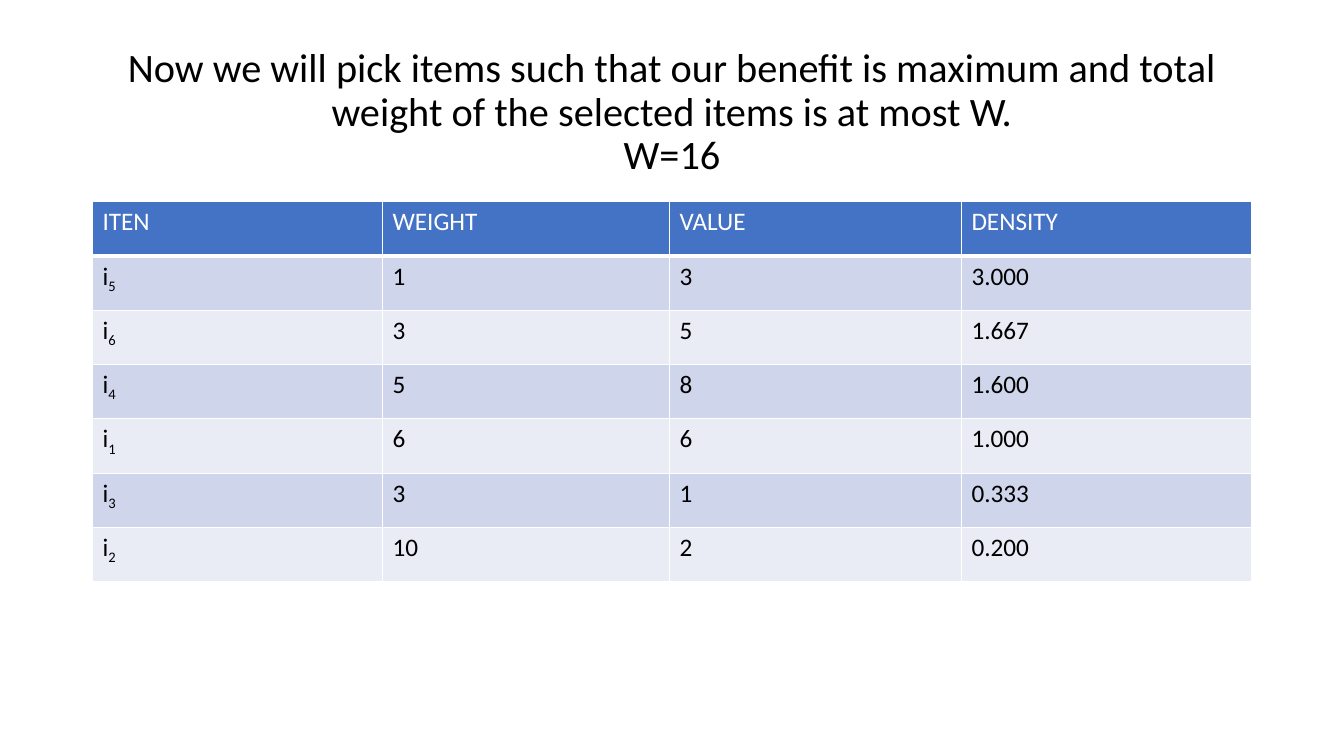
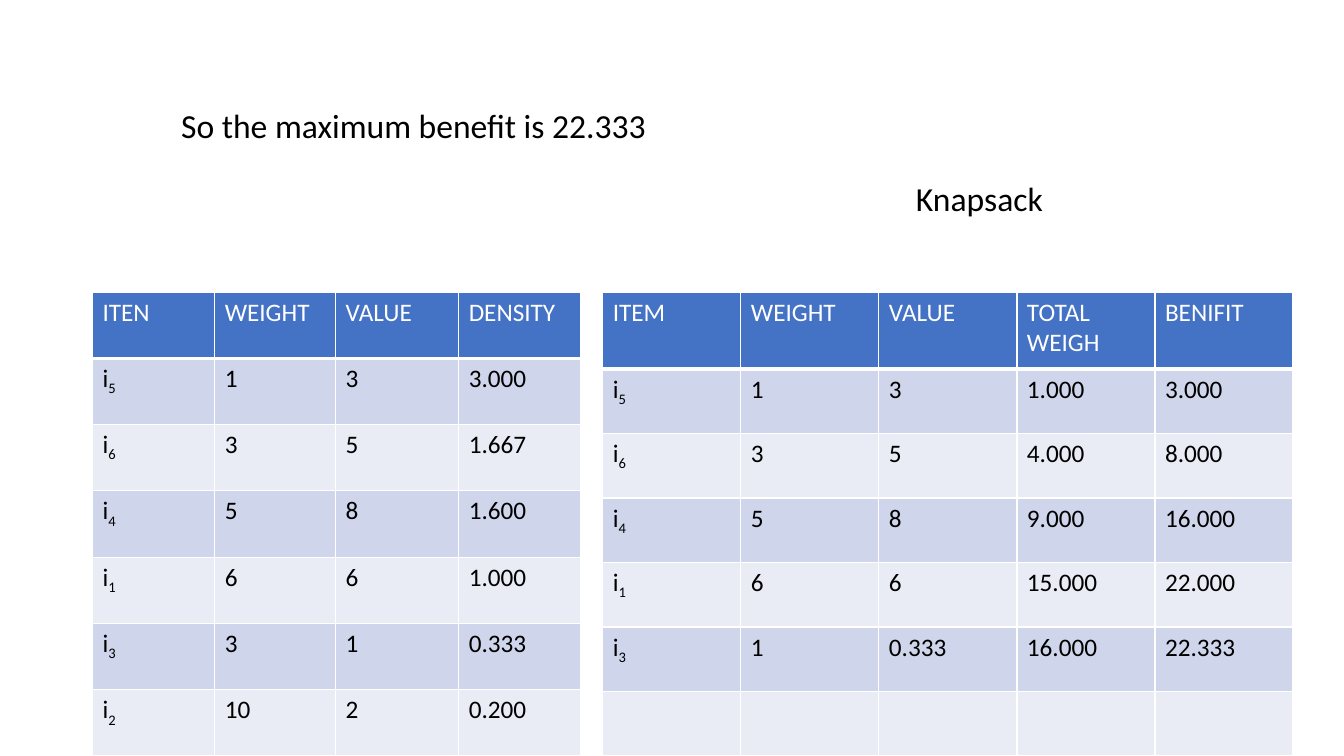
import pptx
import pptx.dml.color
import pptx.enum.text
import pptx.oxml
import pptx.oxml.ns
import pptx.util
from dataclasses import dataclass

Cm, Pt = pptx.util.Cm, pptx.util.Pt
Rgb = pptx.dml.color.RGBColor.from_string
Align = pptx.enum.text.PP_ALIGN
Anchor = pptx.enum.text.MSO_ANCHOR

ITEMS = [
    ("ITEN", "WEIGHT", "VALUE", "DENSITY"),
    ("i5", "1", "3", "3.000"),
    ("i6", "3", "5", "1.667"),
    ("i4", "5", "8", "1.600"),
    ("i1", "6", "6", "1.000"),
    ("i3", "3", "1", "0.333"),
    ("i2", "10", "2", "0.200"),
]
SACK = [
    ("ITEM", "WEIGHT", "VALUE", "TOTAL WEIGH", "BENIFIT"),
    ("i5", "1", "3", "1.000", "3.000"),
    ("i6", "3", "5", "4.000", "8.000"),
    ("i4", "5", "8", "9.000", "16.000"),
    ("i1", "6", "6", "15.000", "22.000"),
    ("i3", "1", "0.333", "16.000", "22.333"),
    ("", "", "", "", ""),
]
RATIO = (2.88, 2.85, 2.9, 2.88)

# Boxes are left, top, width, height in cm; title lines are
# text, alignment, left indent in cm and space before in points.
SLIDES = [
    {
        "box": (2.33, 1.01, 29.21, 3.68),
        "size": 28.8,
        "frame": {"vertical_anchor": Anchor.MIDDLE},
        "lines": [
            ("Now we will pick items such that our benefit is maximum "
             "and total weight of the selected items is at most W.\vW=16",
             Align.CENTER, 0, 0),
        ],
        "tables": [
            {"rows": ITEMS, "box": (2.33, 5.08, 29.21, 9.58),
             "ratio": RATIO, "head": 1.37},
        ],
    },
    {
        "box": (2.33, 0.41, 29.21, 5.61),
        "size": 24,
        "frame": {"vertical_anchor": Anchor.BOTTOM, "margin_bottom": Cm(0.5)},
        "lines": [
            ("So the maximum benefit is 22.333", Align.LEFT, 1.98, 0),
            ("Knapsack", Align.LEFT, 20.5, 26.4),
        ],
        "tables": [
            {"rows": ITEMS, "box": (2.33, 7.36, 12.31, 11.69),
             "ratio": RATIO, "head": 1.67},
            {"rows": SACK, "box": (15.19, 7.36, 17.4, 11.69),
             "ratio": (1,) * 5, "head": 1.94},
        ],
    },
]


@dataclass(frozen=True)
class Theme:
    font: str = "Calibri"
    ink: str = "000000"
    white: str = "FFFFFF"
    head: str = "4472C4"
    bands: tuple = ("CFD5EA", "E9EBF5")
    cell: float = 18
    thin: float = 1
    thick: float = 3


THEME = Theme()


def apply(part, values):
    for name, value in values.items():
        setattr(part, name, value)


def style(font, size, color):
    apply(font, {"name": THEME.font, "size": Pt(size), "bold": False})
    font.color.rgb = Rgb(color)


def border(cell, head):
    prop = cell._tc.get_or_add_tcPr()
    for side in "LRTB":
        wide = THEME.thick if head and side == "B" else THEME.thin
        prop.append(pptx.oxml.parse_xml(
            f'<a:ln{side} {pptx.oxml.ns.nsdecls("a")} w="{Pt(wide)}">'
            f'<a:solidFill><a:srgbClr val="{THEME.white}"/></a:solidFill>'
            f'</a:ln{side}>'))


def write(cell, parts, color):
    """Fill a cell with runs; every run after the first is a subscript."""
    para = cell.text_frame.paragraphs[0]
    style(para.font, THEME.cell, color)
    for order, text in enumerate(parts):
        run = para.add_run()
        run.text = text
        style(run.font, THEME.cell, color)
        if order:
            run._r.get_or_add_rPr().set("baseline", "-25000")


def add_title(slide, data):
    title = slide.shapes.title
    names = ("left", "top", "width", "height")
    apply(title, dict(zip(names, map(Cm, data["box"]))))
    frame = title.text_frame
    apply(frame, {"word_wrap": True,
                  "auto_size": pptx.enum.text.MSO_AUTO_SIZE.NONE,
                  **data["frame"]})
    for order, (text, align, indent, gap) in enumerate(data["lines"]):
        para = frame.add_paragraph() if order else frame.paragraphs[0]
        para.text = text
        apply(para, {"alignment": align, "line_spacing": 0.9,
                     "space_before": Pt(gap)})
        prop = para._p.get_or_add_pPr()
        prop.set("marL", str(Cm(indent)))
        prop.set("indent", "0")
        for run in para.runs:
            style(run.font, data["size"], THEME.ink)


def add_grid(slide, data):
    rows, ratio, head = data["rows"], data["ratio"], data["head"]
    box = data["box"]
    table = slide.shapes.add_table(
        len(rows), len(ratio), *map(Cm, box)).table
    for col, share in zip(table.columns, ratio):
        col.width = Cm(box[2] * share / sum(ratio))
    rest = (box[3] - head) / (len(rows) - 1)
    for r, texts in enumerate(rows):
        table.rows[r].height = Cm(rest if r else head)
        fill = THEME.bands[(r - 1) % 2] if r else THEME.head
        color = THEME.ink if r else THEME.white
        for c, text in enumerate(texts):
            cell = table.cell(r, c)
            border(cell, r == 0)
            cell.fill.solid()
            cell.fill.fore_color.rgb = Rgb(fill)
            item = r and c == 0 and text
            write(cell, (text[0], text[1:]) if item else (text,), color)


def main():
    deck = pptx.Presentation()
    apply(deck, {"slide_width": Cm(33.87), "slide_height": Cm(19.05)})
    for data in SLIDES:
        slide = deck.slides.add_slide(deck.slide_layouts[5])
        add_title(slide, data)
        for grid in data["tables"]:
            add_grid(slide, grid)
    deck.save("out.pptx")


if __name__ == "__main__":
    main()
